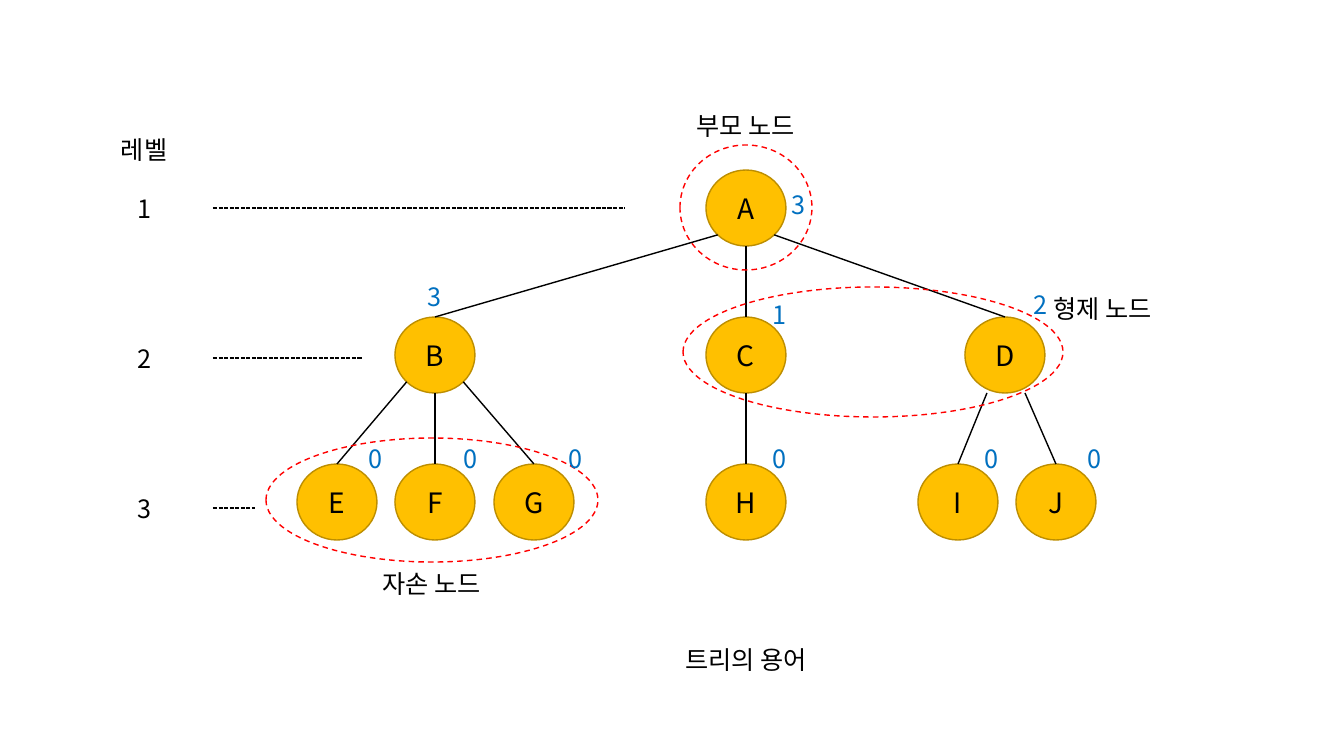
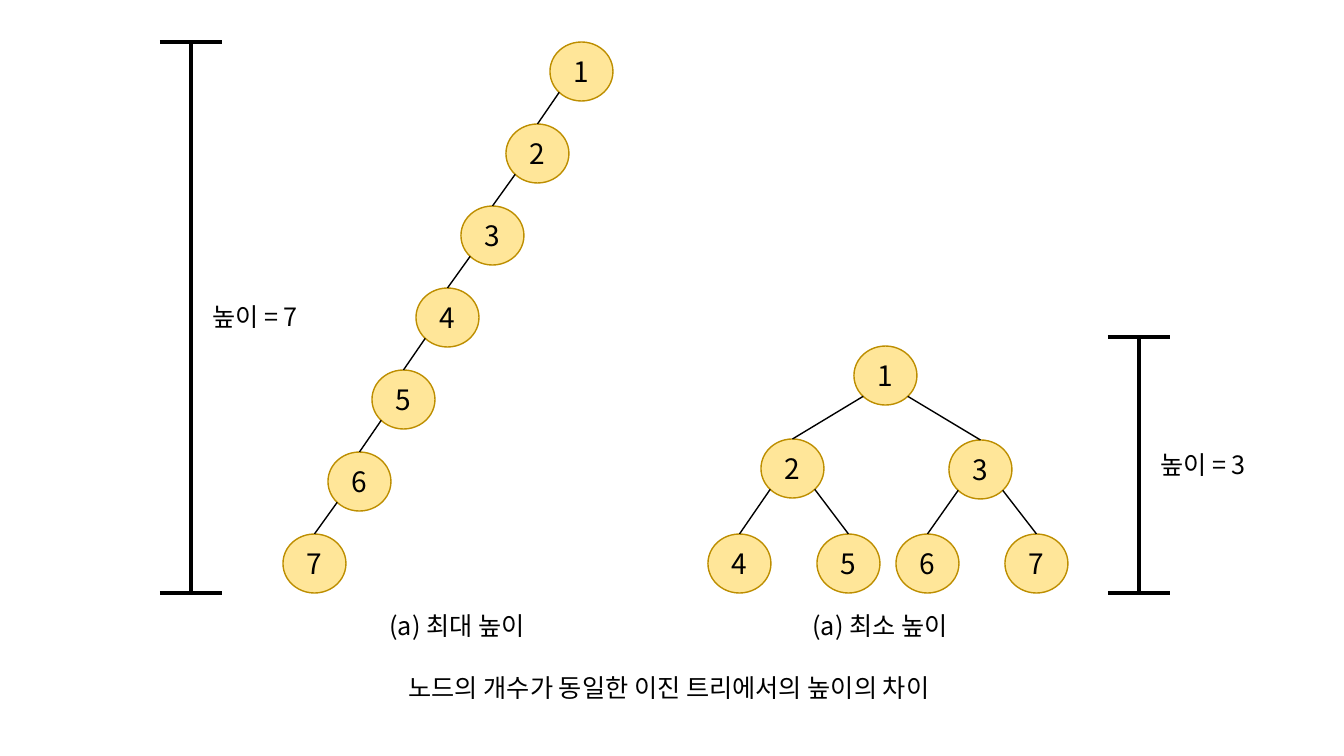
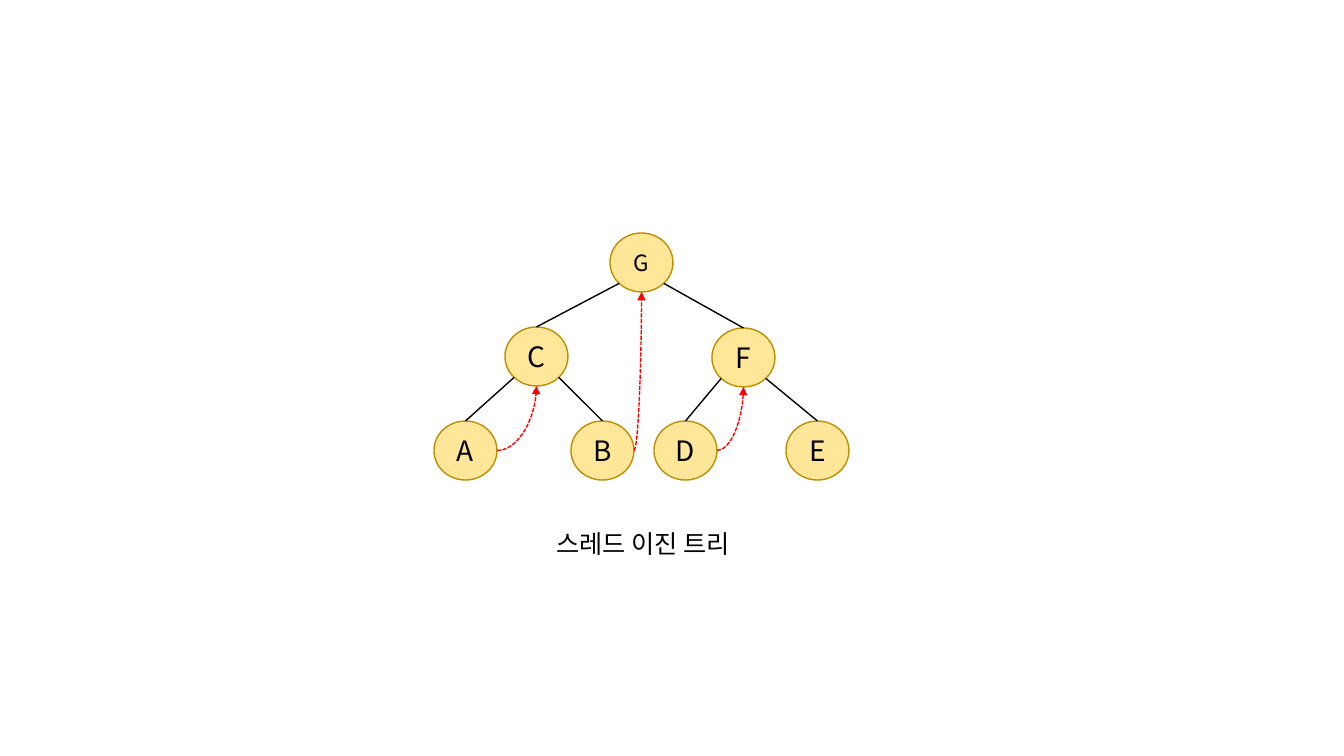
import math

import lxml.etree
import pptx
import pptx.dml.color
import pptx.enum.dml
import pptx.enum.shapes
import pptx.enum.text
import pptx.oxml.ns
import pptx.util

RGBColor = pptx.dml.color.RGBColor
SHAPE = pptx.enum.shapes.MSO_SHAPE
CONNECTOR = pptx.enum.shapes.MSO_CONNECTOR
DASH = pptx.enum.dml.MSO_LINE
ALIGN = pptx.enum.text.PP_ALIGN
ANCHOR = pptx.enum.text.MSO_ANCHOR
AUTO_SIZE = pptx.enum.text.MSO_AUTO_SIZE
qn = pptx.oxml.ns.qn

FONT = "Noto Sans CJK KR"
BLACK = RGBColor(0x00, 0x00, 0x00)
RED = RGBColor(0xFF, 0x00, 0x00)
BLUE = RGBColor(0x00, 0x70, 0xC0)
GOLD = RGBColor(0xFF, 0xC0, 0x00)
CREAM = RGBColor(0xFF, 0xE6, 0x99)
OUTLINE = RGBColor(0xBD, 0x8E, 0x00)

SLIDE_W, SLIDE_H = 1344, 756
EMU_PER_PX = 12192000 / SLIDE_W
LABEL_H = 40
LARGE, SMALL = (80, 76), (63, 59)
TOP, BOTTOM_LEFT, BOTTOM, BOTTOM_RIGHT, RIGHT = 0, 3, 4, 5, 6


def px(n):
    return pptx.util.Emu(round(n * EMU_PER_PX))


def set_text(sp, text, size, color):
    tf = sp.text_frame
    tf.word_wrap = True
    tf.text = text
    p = tf.paragraphs[0]
    p.alignment = ALIGN.CENTER
    r = p.runs[0]
    r.font.size = pptx.util.Pt(size)
    r.font.color.rgb = color
    r.font.name = FONT
    lxml.etree.SubElement(r._r.get_or_add_rPr(), qn("a:ea"), typeface=FONT)


def add_label(s, cx, y, w, text, color=BLACK):
    sp = s.shapes.add_textbox(px(cx - w / 2), px(y), px(w), px(LABEL_H))
    set_text(sp, text, 18, color)
    sp.text_frame.auto_size = AUTO_SIZE.SHAPE_TO_FIT_TEXT


def add_oval(s, x, y, w, h, line):
    sp = s.shapes.add_shape(SHAPE.FLOWCHART_CONNECTOR, px(x), px(y), px(w), px(h))
    sp.shadow.inherit = False
    sp.line.color.rgb = line
    sp.line.width = pptx.util.Pt(1)
    return sp


def add_line(s, start, end, color=BLACK, width=1, dash=None, kind=CONNECTOR.STRAIGHT):
    c = s.shapes.add_connector(kind, *start, *end)
    c.line.color.rgb = color
    c.line.width = pptx.util.Pt(width)
    if dash:
        c.line.dash_style = dash
    lxml.etree.SubElement(c._element.spPr, qn("a:effectLst"))
    return c


def site(sp, idx):
    angle = math.radians(90 + 45 * idx)
    x = sp.left + sp.width / 2 * (1 + math.cos(angle))
    y = sp.top + sp.height / 2 * (1 - math.sin(angle))
    return pptx.util.Emu(round(x)), pptx.util.Emu(round(y))


def glue(c, tag, sp, idx):
    lxml.etree.SubElement(c._element.nvCxnSpPr.cNvCxnSpPr, qn(tag),
                          id=str(sp.shape_id), idx=str(idx))


def link(s, parent, child, idx):
    c = add_line(s, site(parent, idx), site(child, TOP))
    glue(c, "a:stCxn", parent, idx)
    glue(c, "a:endCxn", child, TOP)


def add_thread(s, start, end):
    c = add_line(s, site(start, RIGHT), site(end, BOTTOM), RED,
                 dash=DASH.SQUARE_DOT, kind=CONNECTOR.CURVE)
    c._element.spPr.find(qn("a:prstGeom")).set("prst", "curvedConnector2")
    ln = c.line._get_or_add_ln()
    lxml.etree.SubElement(ln, qn("a:tailEnd"), type="triangle")
    glue(c, "a:stCxn", start, RIGHT)
    glue(c, "a:endCxn", end, BOTTOM)


def add_tree(s, box, size, fill, places, links, text_sizes=None):
    nodes = {}
    for name, (x, y) in places.items():
        sp = add_oval(s, box[0] + x, box[1] + y, *size, OUTLINE)
        sp.fill.solid()
        sp.fill.fore_color.rgb = fill
        sp.text_frame.vertical_anchor = ANCHOR.MIDDLE
        set_text(sp, name, (text_sizes or {}).get(name, 20), BLACK)
        nodes[name] = sp
    for parent, child, idx in links:
        link(s, nodes[parent], nodes[child], idx)
    return nodes


def binary_links(root, left, right, left_leaves, right_leaves):
    families = ((root, (left, right)), (left, left_leaves), (right, right_leaves))
    return [(parent, child, idx) for parent, children in families
            for child, idx in zip(children, (BOTTOM_LEFT, BOTTOM_RIGHT))]


def add_levels(s, x, y):
    add_label(s, x + 69, y, 138, "레벨")
    for i, length in enumerate((412, 149, 42)):
        row = y + 79 + 150 * i
        add_label(s, x + 69, row - 20, 138, str(i + 1))
        add_line(s, (px(x + 138), px(row)), (px(x + 138 + length), px(row)),
                 dash=DASH.SQUARE_DOT)


def add_node_group(s, box, label, cx, y):
    sp = add_oval(s, *box, RED)
    sp.fill.background()
    sp.line.dash_style = DASH.DASH
    add_label(s, box[0] + cx, box[1] + y, 138, label)


def add_height_bar(s, x, y, h, label):
    mid = x + 31
    for row in (y, y + h):
        add_line(s, (px(x), px(row)), (px(x + 62), px(row)), width=2.25)
    add_line(s, (px(mid), px(y)), (px(mid), px(y + h)), width=2.25)
    add_label(s, x + 95, y + h / 2 - 21, 158, label)


def terms_slide(s):
    x, y = 297, 170
    places = {
        "A": (409, 0),
        "B": (98, 147), "C": (409, 147), "D": (668, 147),
        "E": (0, 294), "F": (98, 294), "G": (197, 294),
        "H": (409, 294), "I": (621, 294), "J": (719, 294),
    }
    links = [
        ("A", "B", BOTTOM_LEFT), ("A", "C", BOTTOM), ("A", "D", BOTTOM_RIGHT),
        ("B", "E", BOTTOM_LEFT), ("B", "F", BOTTOM), ("B", "G", BOTTOM_RIGHT),
        ("C", "H", BOTTOM),
    ]
    nodes = add_tree(s, (x, y), LARGE, GOLD, places, links)
    for child, start in (("I", 690), ("J", 728)):
        c = add_line(s, (px(x + start), px(y + 223)), site(nodes[child], TOP))
        glue(c, "a:endCxn", nodes[child], TOP)

    add_node_group(s, (680, 145, 132, 125), "부모 노드", 66, -40)
    add_node_group(s, (683, 287, 380, 130), "형제 노드", 420, 1)
    add_node_group(s, (266, 438, 332, 124), "자손 노드", 166, 125)
    add_levels(s, 75, 129)

    degrees = {"A": ("3", 93, 14), "B": ("3", 40, -41),
               "C": ("1", 74, -23), "D": ("2", 76, -33)}
    leaf_offsets = {"E": 79, "F": 76, "G": 82, "H": 74, "I": 74, "J": 79}
    degrees.update({name: ("0", dx, -26) for name, dx in leaf_offsets.items()})
    for name, (degree, dx, dy) in degrees.items():
        left, top = places[name]
        add_label(s, x + left + dx, y + top + dy, 60, degree, BLUE)
    add_label(s, 746, 639, 190, "트리의 용어")


def heights_slide(s):
    chain = {str(k + 1): (267 - round(44.5 * k), 82 * k) for k in range(7)}
    chain_links = [(str(k), str(k + 1), BOTTOM_LEFT) for k in range(1, 7)]
    add_tree(s, (283, 42), SMALL, CREAM, chain, chain_links)
    full = {"1": (146, 0), "2": (53, 93), "3": (241, 94),
            "4": (0, 188), "5": (109, 188), "6": (188, 188), "7": (297, 188)}
    add_tree(s, (708, 346), SMALL, CREAM, full,
             binary_links("1", "2", "3", "45", "67"))
    add_height_bar(s, 160, 42, 551, "높이 = 7")
    add_height_bar(s, 1108, 337, 256, "높이 = 3")
    add_label(s, 457, 605, 250, "(a) 최대 높이")
    add_label(s, 880, 605, 250, "(a) 최소 높이")
    add_label(s, 669, 667, 926, "노드의 개수가 동일한 이진 트리에서의 높이의 차이")


def threads_slide(s):
    places = {"G": (176, 0), "C": (71, 94), "F": (278, 95),
              "A": (0, 188), "B": (137, 188), "D": (220, 188), "E": (352, 188)}
    nodes = add_tree(s, (434, 233), SMALL, CREAM, places,
                     binary_links("G", "C", "F", "AB", "DE"), {"G": 16})
    for start, end in ("BG", "AC", "DF"):
        add_thread(s, nodes[start], nodes[end])
    add_label(s, 643, 523, 412, "스레드 이진 트리")


def main():
    prs = pptx.Presentation()
    prs.slide_width, prs.slide_height = px(SLIDE_W), px(SLIDE_H)
    for build in (terms_slide, heights_slide, threads_slide):
        build(prs.slides.add_slide(prs.slide_layouts[6]))
    prs.save("out.pptx")


if __name__ == "__main__":
    main()
